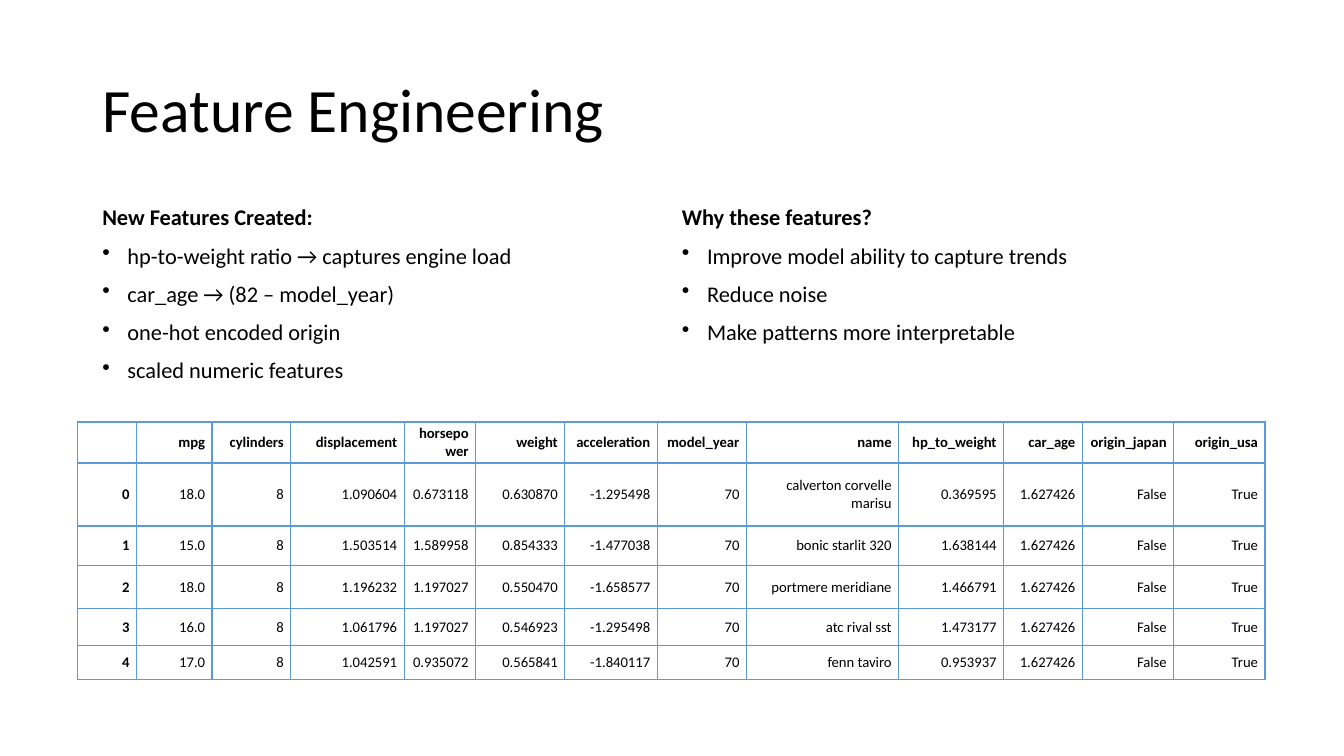
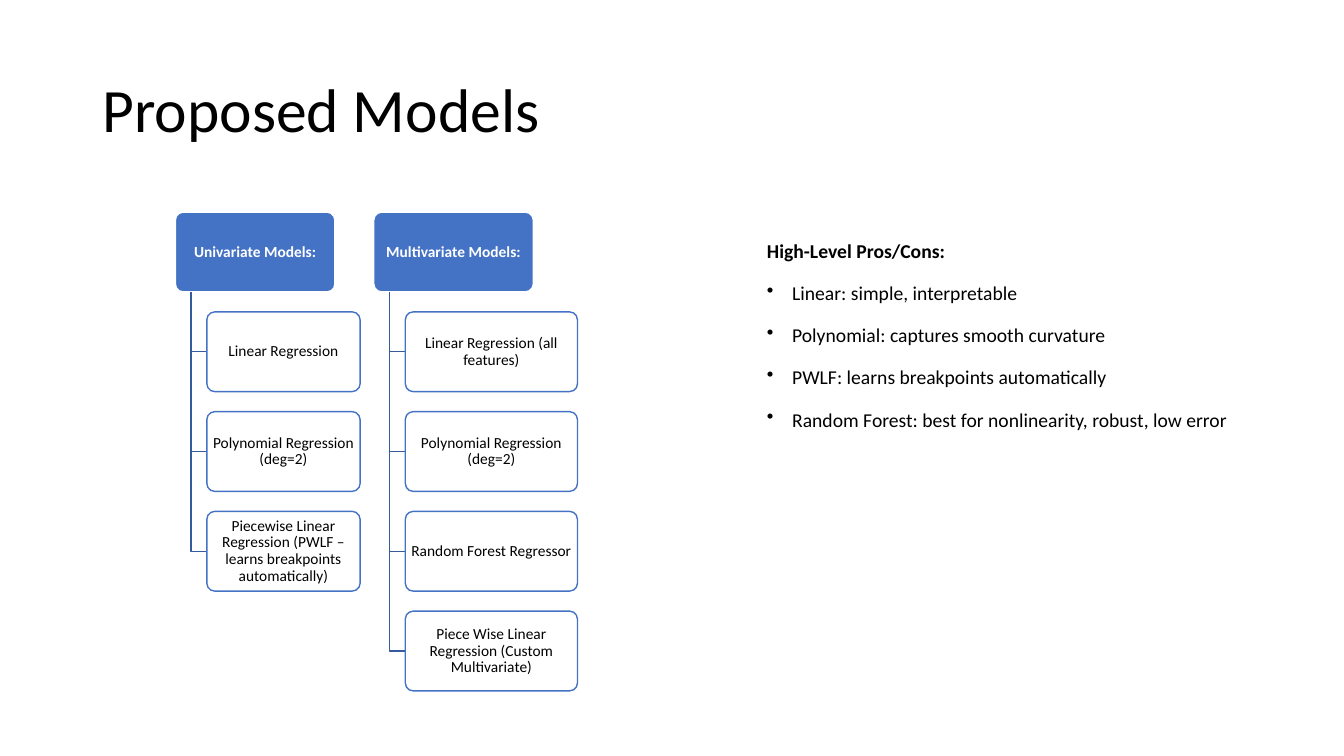
"""Build two slides on engineered car features and the proposed regression models."""
import dataclasses

import pptx
import pptx.dml.color
import pptx.enum.shapes
import pptx.enum.text
import pptx.oxml
import pptx.oxml.ns
import pptx.util


@dataclasses.dataclass(frozen=True)
class Theme:
    font: str = "Calibri"
    ink: str = "000000"
    paper: str = "FFFFFF"
    accent: str = "4472C4"
    branch: str = "365B9D"
    rule: str = "5B9BD5"
    title_size: float = 44
    list_size: float = 16
    small_list_size: float = 14
    box_size: float = 11
    table_size: float = 10.5


THEME = Theme()
RGB = pptx.dml.color.RGBColor.from_string
ALIGN = pptx.enum.text.PP_ALIGN
MIDDLE = pptx.enum.text.MSO_ANCHOR.MIDDLE
ROUNDED = pptx.enum.shapes.MSO_SHAPE.ROUNDED_RECTANGLE

COLUMNS, ROWS = 1280, 720
deck = pptx.Presentation()
deck.slide_width = pptx.util.Inches(13 + 1 / 3)
deck.slide_height = pptx.util.Inches(7.5)
COL = deck.slide_width // COLUMNS
ROW = deck.slide_height // ROWS


def add_run(paragraph, text, size, color=THEME.ink, bold=False):
    run = paragraph.add_run()
    run.text = text
    run.font.name = THEME.font
    run.font.size = pptx.util.Pt(size)
    run.font.bold = bold
    run.font.color.rgb = RGB(color)


def add_list(slide, left, top, width, height, lines, size, line_spacing):
    box = slide.shapes.add_textbox(left * COL, top * ROW, width * COL, height * ROW)
    frame = box.text_frame
    frame.word_wrap = True
    for index, line in enumerate(lines):
        paragraph = frame.add_paragraph() if index else frame.paragraphs[0]
        paragraph.line_spacing = line_spacing
        paragraph.space_before = pptx.util.Pt(10)
        add_run(paragraph, line, size, bold=index == 0)
        if index:
            properties = paragraph._p.get_or_add_pPr()
            properties.set("marL", str(24 * COL))
            properties.set("indent", str(-24 * COL))
            bullet = pptx.oxml.parse_xml(f'<a:buChar {pptx.oxml.ns.nsdecls("a")} char="•"/>')
            properties.append(bullet)


slides = []
for heading in ("Feature Engineering", "Proposed Models"):
    slide = deck.slides.add_slide(deck.slide_layouts[5])
    title = slide.shapes.title
    title.left, title.top = 88 * COL, 38 * ROW
    title.width, title.height = 1104 * COL, 139 * ROW
    title.text_frame.auto_size = pptx.enum.text.MSO_AUTO_SIZE.NONE
    title.text_frame.vertical_anchor = MIDDLE
    paragraph = title.text_frame.paragraphs[0]
    paragraph.alignment = ALIGN.LEFT
    paragraph.line_spacing = 0.9
    add_run(paragraph, heading, THEME.title_size)
    slides.append(slide)
features_slide, models_slide = slides

new_features = (
    "New Features Created:",
    "hp-to-weight ratio → captures engine load",
    "car_age → (82 – model_year)",
    "one-hot encoded origin",
    "scaled numeric features",
)
reasons = (
    "Why these features?",
    "Improve model ability to capture trends",
    "Reduce noise",
    "Make patterns more interpretable",
)
add_list(features_slide, 88, 192, 411, 186, new_features, THEME.list_size, 0.9)
add_list(features_slide, 640, 192, 411, 201, reasons, THEME.list_size, 0.9)

car_rows = (
    ("", "mpg", "cylinders", "displacement", "horsepower", "weight", "acceleration",
     "model_year", "name", "hp_to_weight", "car_age", "origin_japan", "origin_usa"),
    ("0", "18.0", "8", "1.090604", "0.673118", "0.630870", "-1.295498",
     "70", "calverton corvelle marisu", "0.369595", "1.627426", "False", "True"),
    ("1", "15.0", "8", "1.503514", "1.589958", "0.854333", "-1.477038",
     "70", "bonic starlit 320", "1.638144", "1.627426", "False", "True"),
    ("2", "18.0", "8", "1.196232", "1.197027", "0.550470", "-1.658577",
     "70", "portmere meridiane", "1.466791", "1.627426", "False", "True"),
    ("3", "16.0", "8", "1.061796", "1.197027", "0.546923", "-1.295498",
     "70", "atc rival sst", "1.473177", "1.627426", "False", "True"),
    ("4", "17.0", "8", "1.042591", "0.935072", "0.565841", "-1.840117",
     "70", "fenn taviro", "0.953937", "1.627426", "False", "True"),
)
car_widths = (56, 72, 75, 108, 68, 85, 88, 85, 145, 100, 75, 87, 87)
car_heights = (35, 60, 38, 41, 35, 32)
cars = features_slide.shapes.add_table(
    len(car_heights), len(car_widths), 74 * COL, 402 * ROW,
    sum(car_widths) * COL, sum(car_heights) * ROW).table
cars.first_row = False
cars.horz_banding = False
for column, width in zip(cars.columns, car_widths):
    column.width = width * COL
for row, height in zip(cars.rows, car_heights):
    row.height = height * ROW
for row_index, values in enumerate(car_rows):
    for column_index, value in enumerate(values):
        cell = cars.cell(row_index, column_index)
        cell.fill.background()
        cell.vertical_anchor = MIDDLE
        cell.margin_left = cell.margin_right = pptx.util.Pt(5)
        cell.margin_top = cell.margin_bottom = pptx.util.Pt(2)
        paragraph = cell.text_frame.paragraphs[0]
        paragraph.alignment = ALIGN.RIGHT
        if value:
            add_run(paragraph, value, THEME.table_size, bold=0 in (row_index, column_index))
        for position, side in enumerate("LRTB"):
            heavy = (row_index, side) in ((0, "B"), (1, "T"))
            border = pptx.oxml.parse_xml(
                f'<a:ln{side} {pptx.oxml.ns.nsdecls("a")} w="{pptx.util.Pt(2 if heavy else 1)}">'
                f'<a:solidFill><a:srgbClr val="{THEME.rule}"/></a:solidFill></a:ln{side}>')
            cell._tc.get_or_add_tcPr().insert(position, border)

pros_and_cons = (
    "High-Level Pros/Cons:",
    "Linear: simple, interpretable",
    "Polynomial: captures smooth curvature",
    "PWLF: learns breakpoints automatically",
    "Random Forest: best for nonlinearity, robust, low error",
)
add_list(models_slide, 721, 218, 478, 284, pros_and_cons, THEME.small_list_size, 1.2)

families = (
    (167, 146, "Univariate Models:", (
        "Linear Regression",
        "Polynomial Regression (deg=2)",
        "Piecewise Linear Regression (PWLF – learns breakpoints automatically)")),
    (356, 164, "Multivariate Models:", (
        "Linear Regression (all features)",
        "Polynomial Regression (deg=2)",
        "Random Forest Regressor",
        "Piece Wise Linear Regression (Custom Multivariate)")),
)
family_top, family_width, box_height, box_pitch = 202, 152, 76, 95
trunk_offset, model_offset = 15, 30
for family_left, model_width, family, models in families:
    trunk = family_left + trunk_offset
    model_left = family_left + model_offset
    for level, label in enumerate((family, *models)):
        is_family = level == 0
        top = family_top + level * box_pitch
        if not is_family:
            middle = (top + box_height // 2) * ROW
            outline = models_slide.shapes.build_freeform(
                trunk * COL, (family_top + box_height) * ROW)
            outline.add_line_segments(
                ((trunk * COL, middle), (model_left * COL, middle)), close=False)
            branch = outline.convert_to_shape()
            branch.shadow.inherit = False
            branch.fill.background()
            branch.line.color.rgb = RGB(THEME.branch)
            branch.line.width = pptx.util.Pt(1)
        box = models_slide.shapes.add_shape(
            ROUNDED, (family_left if is_family else model_left) * COL, top * ROW,
            (family_width if is_family else model_width) * COL, box_height * ROW)
        box.adjustments[0] = 0.1
        box.shadow.inherit = False
        box.fill.solid()
        box.fill.fore_color.rgb = RGB(THEME.accent if is_family else THEME.paper)
        box.line.color.rgb = RGB(THEME.paper if is_family else THEME.accent)
        box.line.width = pptx.util.Pt(1)
        frame = box.text_frame
        frame.word_wrap = True
        frame.vertical_anchor = MIDDLE
        frame.margin_left = frame.margin_right = pptx.util.Pt(1.5)
        frame.margin_top = frame.margin_bottom = pptx.util.Pt(1.5)
        paragraph = frame.paragraphs[0]
        paragraph.alignment = ALIGN.CENTER
        paragraph.line_spacing = 0.9
        add_run(paragraph, label, THEME.box_size,
                THEME.paper if is_family else THEME.ink, is_family)

deck.save("out.pptx")
